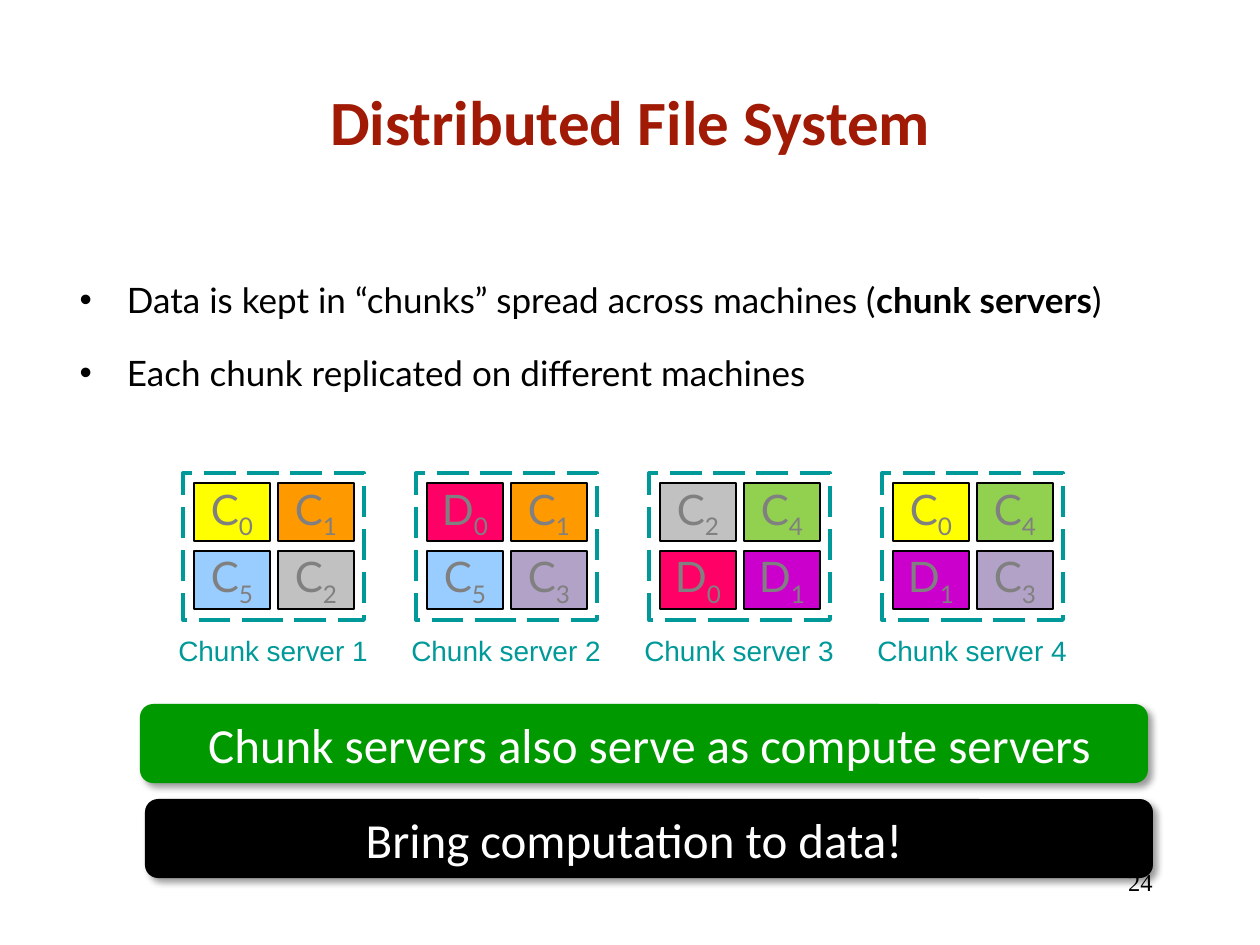
from dataclasses import dataclass

from lxml import etree
from pptx import Presentation
from pptx import util as u
from pptx.dml.color import RGBColor
from pptx.enum import dml, shapes, text
from pptx.oxml.ns import qn


@dataclass(frozen=True)
class Theme:
    title: str = "A01A06"
    ink: str = "000000"
    white: str = "FFFFFF"
    teal: str = "009999"
    grey: str = "808080"
    green: str = "009900"
    head: int = 36
    body: int = 20
    label: int = 16
    chunk: int = 24
    call: int = 28
    page: int = 14
    main: str = "Calibri"
    lato: str = "Lato"
    sans: str = "Arial"
    serif: str = "Times New Roman"


@dataclass(frozen=True)
class Box:
    x: int
    y: int
    w: int
    h: int


@dataclass(frozen=True)
class Server:
    name: str
    chunks: tuple[str, ...]  # row by row, two in a row


@dataclass(frozen=True)
class Banner:
    box: Box
    words: str
    fill: str
    left: int
    right: int


T = Theme()
FILLS = {"C0": "FFFF00", "C1": "FF9900", "C2": "C1C1C1", "C3": "B3A2C7",
         "C4": "92D050", "C5": "99CCFF", "D0": "FF0066", "D1": "CC00CC"}
SERVERS = (
    Server("Chunk server 1", ("C0", "C1", "C5", "C2")),
    Server("Chunk server 2", ("D0", "C1", "C5", "C3")),
    Server("Chunk server 3", ("C2", "C4", "D0", "D1")),
    Server("Chunk server 4", ("C0", "C4", "D1", "C3")),
)
BANNERS = (
    Banner(Box(140, 704, 1008, 79), "Chunk servers also serve as compute servers",
           T.green, 24, 13),
    Banner(Box(145, 799, 1008, 79), "Bring computation to data!", T.ink, 13, 43),
)


def px(n: int) -> u.Emu:
    return u.Emu(round(n * 914400 / 126))


def place(box: Box) -> tuple[u.Emu, ...]:
    return px(box.x), px(box.y), px(box.w), px(box.h)


def move(item, box: Box) -> None:
    item.left, item.top, item.width, item.height = place(box)


def style(para, face: str, size: int, tint: str, bold: bool = False) -> None:
    for run in para.runs:
        font = run.font
        font.name, font.size, font.bold = face, u.Pt(size), bold
        font.color.rgb = RGBColor.from_string(tint)


def block(slide, kind, box: Box, fill: str = "", line: str = "", width: float = 0.75):
    item = slide.shapes.add_shape(kind, *place(box))
    item.shadow.inherit = False
    if fill:
        item.fill.solid()
        item.fill.fore_color.rgb = RGBColor.from_string(fill)
    else:
        item.fill.background()
    if line:
        item.line.color.rgb = RGBColor.from_string(line)
        item.line.width = u.Pt(width)
    else:
        item.line.fill.background()
    return item


def note(slide, box: Box, words: str, face: str, size: int, tint: str,
         align=text.PP_ALIGN.LEFT, wrap: bool = True) -> None:
    frame = slide.shapes.add_textbox(*place(box)).text_frame
    frame.word_wrap = wrap
    frame.text = words
    para = frame.paragraphs[0]
    para.alignment = align
    style(para, face, size, tint)


def chunk(slide, box: Box, name: str) -> None:
    item = block(slide, shapes.MSO_SHAPE.RECTANGLE, box, FILLS[name], T.ink)
    frame = item.text_frame
    frame.margin_left = frame.margin_right = 0
    frame.margin_top = frame.margin_bottom = 0
    frame.vertical_anchor = text.MSO_ANCHOR.TOP
    para = frame.paragraphs[0]
    para.alignment = text.PP_ALIGN.CENTER
    para.text = name[0]
    low = para.add_run()
    low.text = name[1]
    style(para, T.lato, T.chunk, T.grey)
    low.font._element.set("baseline", "-25000")


def server(slide, x: int, y: int, data: Server) -> None:
    frame = block(slide, shapes.MSO_SHAPE.RECTANGLE, Box(x, y, 181, 147),
                  line=T.teal, width=2.25)
    frame.line.dash_style = dml.MSO_LINE.LONG_DASH
    note(slide, Box(x - 17, y + 154, 215, 47), data.name, T.sans, T.label,
         T.teal, wrap=False)
    for i, name in enumerate(data.chunks):
        row, col = divmod(i, 2)
        chunk(slide, Box(x + 11 + 84 * col, y + 10 + 68 * row, 76, 58), name)


def banner(slide, data: Banner) -> None:
    item = block(slide, shapes.MSO_SHAPE.ROUNDED_RECTANGLE, data.box, data.fill)
    # Soft shadow to the lower right
    glow = etree.SubElement(item._element.spPr.find(qn("a:effectLst")),
                            qn("a:outerShdw"), blurRad=str(u.Pt(4)),
                            dist=str(u.Pt(3)), dir="2700000", rotWithShape="0")
    tint = etree.SubElement(glow, qn("a:srgbClr"), val=T.ink)
    etree.SubElement(tint, qn("a:alpha"), val="40000")
    frame = item.text_frame
    frame.word_wrap = True
    frame.margin_left, frame.margin_right = px(data.left), px(data.right)
    frame.vertical_anchor = text.MSO_ANCHOR.MIDDLE
    frame.text = data.words
    para = frame.paragraphs[0]
    para.alignment = text.PP_ALIGN.CENTER
    style(para, T.main, T.call, T.white)


def bullets(body) -> None:
    move(body, Box(67, 272, 1168, 130))
    frame = body.text_frame
    frame.auto_size = text.MSO_AUTO_SIZE.NONE
    frame.vertical_anchor = text.MSO_ANCHOR.TOP
    frame.text = ("Data is kept in “chunks” spread across machines (\n"
                  "Each chunk replicated on different machines")
    first = frame.paragraphs[0]
    for words in ("chunk servers", ")"):
        first.add_run().text = words
    for para in frame.paragraphs:
        para.space_before, para.space_after = u.Pt(0), u.Pt(18)
        style(para, T.lato, T.body, T.ink)
    first.runs[1].font.bold = True


def main() -> None:
    deck = Presentation()
    deck.slide_width, deck.slide_height = px(1260), px(945)
    slide = deck.slides.add_slide(deck.slide_layouts[1])

    # Title and list
    title = slide.shapes.title
    move(title, Box(95, 42, 1071, 157))
    title.text_frame.text = "Distributed File System"
    title.text_frame.vertical_anchor = text.MSO_ANCHOR.MIDDLE
    style(title.text_frame.paragraphs[0], T.main, T.head, T.title, True)
    bullets(slide.placeholders[1])

    # Chunk servers at an equal pitch
    for i, data in enumerate(SERVERS):
        server(slide, 183 + 233 * i, 473, data)

    # Conclusions and page number
    for data in BANNERS:
        banner(slide, data)
    note(slide, Box(903, 861, 262, 63), "24", T.serif, T.page, T.ink,
         text.PP_ALIGN.RIGHT)
    deck.save("out.pptx")


if __name__ == "__main__":
    main()
